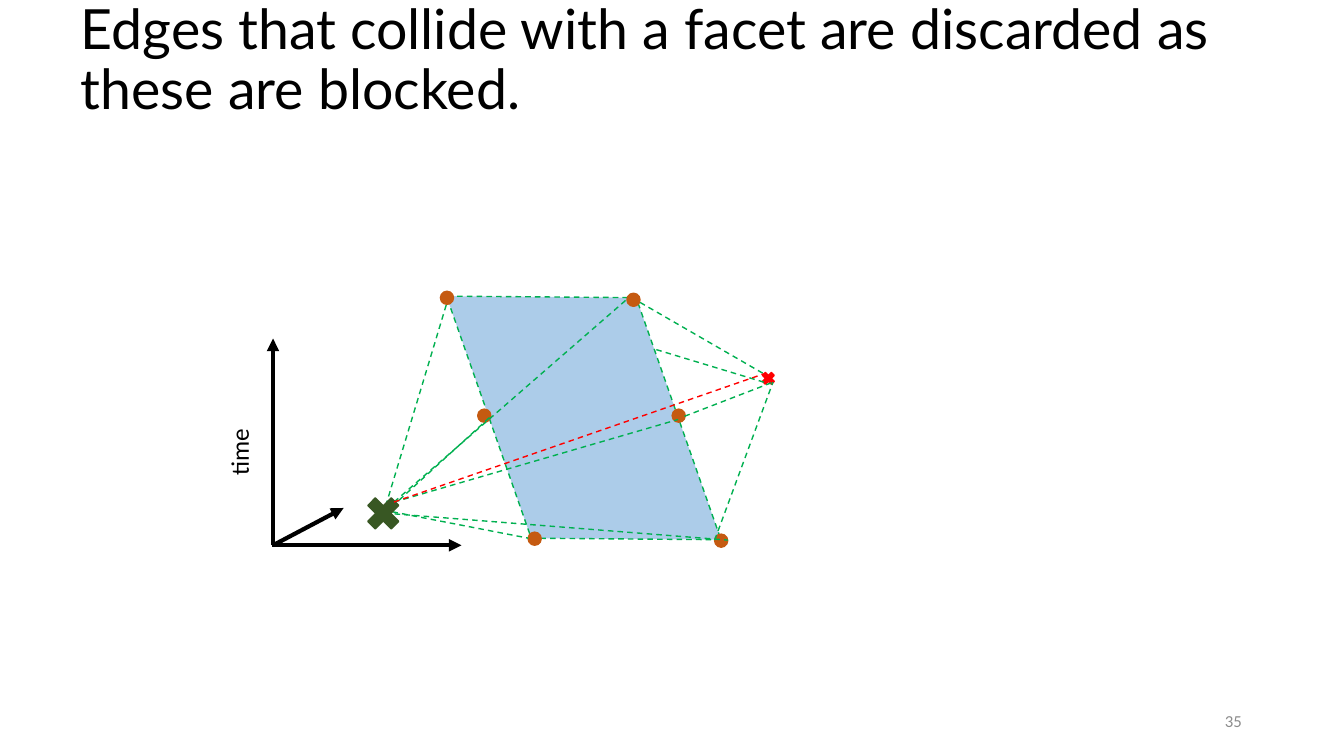
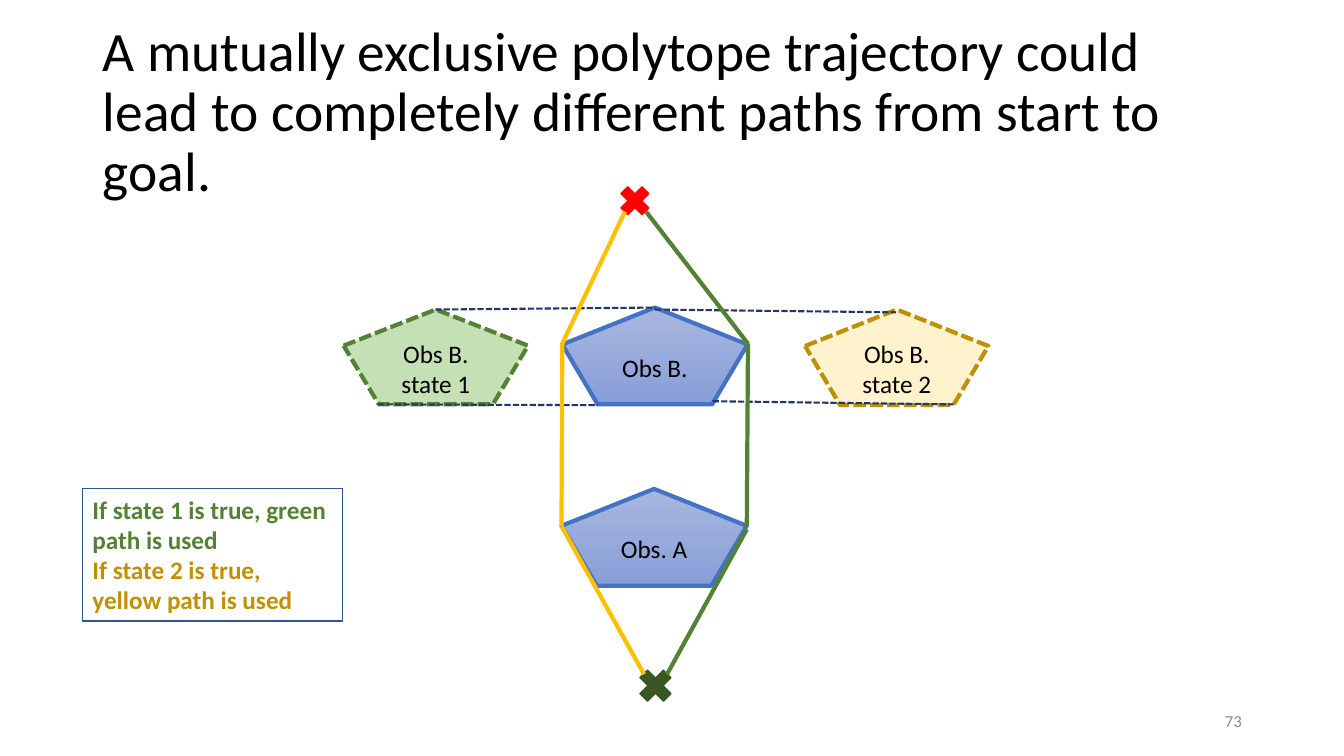
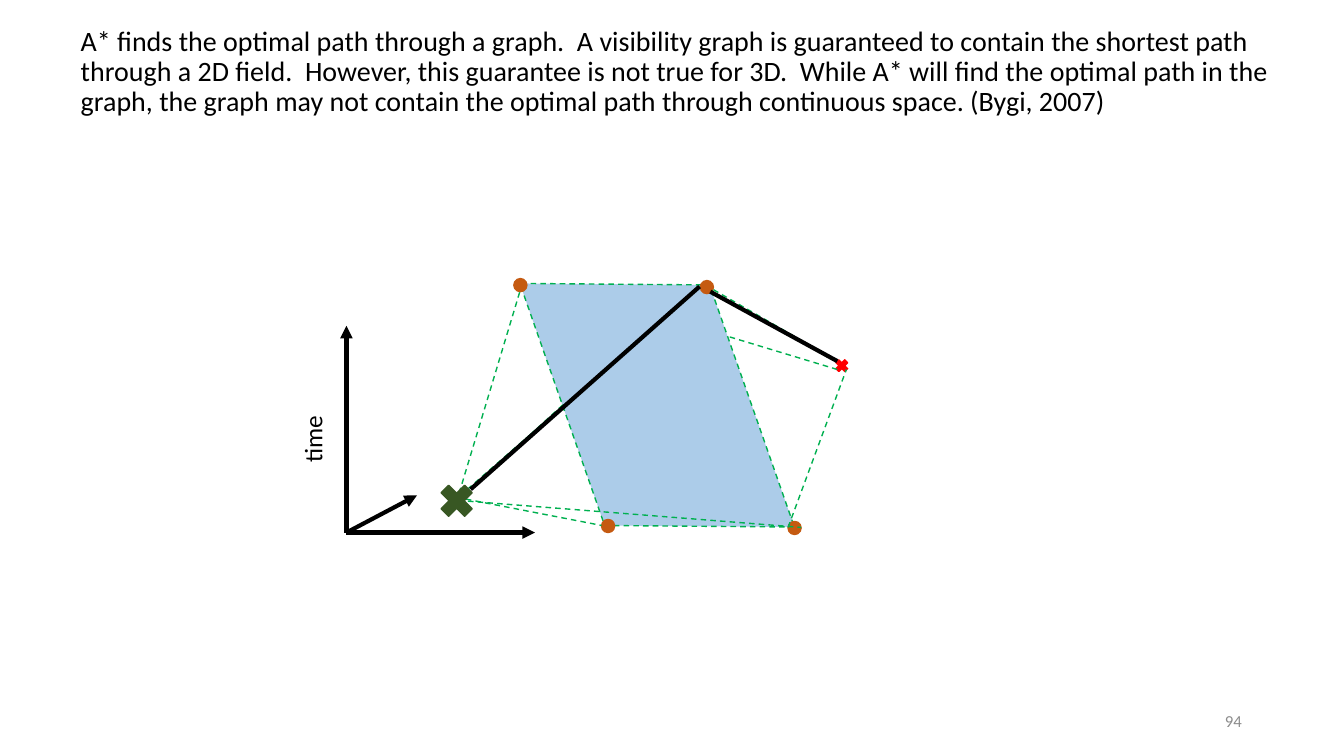
"""Build three slides on visibility graphs around moving obstacles."""
from dataclasses import dataclass
from typing import Optional

from lxml.etree import SubElement as Sub
from pptx import Presentation
from pptx.dml.color import RGBColor as Rgb
from pptx.enum.dml import MSO_LINE as Dash
from pptx.enum.shapes import MSO_CONNECTOR as Link, MSO_SHAPE as Kind
from pptx.enum.text import MSO_ANCHOR as Anchor, MSO_AUTO_SIZE as Fit, PP_ALIGN as Align
from pptx.oxml.ns import qn
from pptx.util import Cm, Pt

HUES = {
    "black": "000000", "grey": "8C8C8C", "red": "FF0000", "edge": "00B050",
    "facet": "5B9BD5", "dot": "C55A11", "start": "385723", "tie": "203864",
    "green": "548235", "mint": "C5E0B4", "gold": "BF9000", "cream": "FFF2CC",
    "yellow": "FFC000", "blue": "4472C4", "top": "A8B7DF", "base": "889ED7",
    "frame": "2F5597",
}
FONT = "Calibri"


@dataclass(frozen=True)
class Box:
    x: float
    y: float
    w: float
    h: float
    turn: float = 0


@dataclass(frozen=True)
class Pen:
    hue: str
    width: float = 1
    dash: Optional[Dash] = None
    arrow: bool = False


@dataclass(frozen=True)
class Line:
    x1: float
    y1: float
    x2: float
    y2: float


@dataclass(frozen=True)
class Word:
    text: str
    hue: str = "black"
    size: float = 18
    bold: bool = False
    font: str = FONT


@dataclass(frozen=True)
class House:
    box: Box
    text: str
    pen: Pen
    fill: Optional[str] = None


EDGE = Pen("edge", 1, Dash.DASH)
BLOCK = Pen("red", 1, Dash.DASH)
AXIS = Pen("black", 3, arrow=True)
ROUTE = Pen("black", 3)
TIE = Pen("tie", 1.5, Dash.SQUARE_DOT)
SOLID = Pen("blue", 3)

FACET = Box(10.67, 8.28, 8.08, 4.5, 250.7)
TIME = Box(4.22, 9.91, 3.61, 1.02, 270)
GOAL = Box(19.15, 9.32, 0.43, 0.43)
START = Box(9.09, 12.37, 1.14, 1.14)
DOT = 0.33
AXES = [
    Line(6.88, 13.74, 8.66, 12.8),
    Line(6.86, 13.74, 11.63, 13.74),
    Line(6.88, 13.74, 6.88, 8.53),
]
ENDS = [(15.8, 7.39), (11.1, 7.34), (18.01, 13.46), (13.31, 13.41)]
MIDS = [(16.94, 10.31), (12.04, 10.31)]
EDGES = [
    Line(9.65, 12.98, 11.25, 7.67),
    Line(9.7, 12.93, 12.37, 10.49),
    Line(9.65, 12.85, 13.31, 13.56),
    Line(9.93, 12.65, 15.8, 7.54),
    Line(9.7, 12.93, 18.34, 13.61),
    Line(16.13, 7.62, 19.25, 9.42),
    Line(18.01, 13.61, 19.48, 9.63),
    Line(16.54, 8.81, 19.25, 9.63),
]
INNER = [Line(9.93, 12.65, 17.09, 10.57), Line(17.25, 10.49, 19.48, 9.63)]
BLOCKED = [Line(9.93, 12.65, 19.25, 9.42)]
BEST = [Line(10.01, 12.65, 15.78, 7.54), Line(19.25, 9.42, 16.05, 7.67)]

HOUSES = [
    House(Box(14.17, 7.75, 4.67, 2.44), "Obs B.", SOLID),
    House(Box(20.29, 7.8, 4.62, 2.41), "Obs B. state 2",
          Pen("gold", 3, Dash.SQUARE_DOT), "cream"),
    House(Box(8.66, 7.8, 4.65, 2.39), "Obs B. state 1",
          Pen("green", 3, Dash.SQUARE_DOT), "mint"),
    House(Box(14.15, 12.32, 4.67, 2.44), "Obs. A", SOLID),
]
TIES = [
    Line(17.96, 10.11, 24.03, 10.19),
    Line(16.51, 7.8, 22.58, 7.87),
    Line(10.97, 7.8, 16.51, 7.75),
    Line(9.53, 10.19, 15.06, 10.21),
]
PATHS = {
    "green": [
        Line(16.81, 16.99, 18.82, 13.34),
        Line(16.28, 5.33, 18.85, 8.66),
        Line(18.82, 13.26, 18.85, 8.66),
    ],
    "yellow": [
        Line(16.23, 16.99, 14.15, 13.26),
        Line(14.17, 8.66, 14.15, 13.26),
        Line(15.75, 5.33, 14.17, 8.66),
    ],
}


def tint(name: str) -> Rgb:
    return Rgb.from_string(HUES[name])


def place(box: Box) -> tuple:
    return Cm(box.x), Cm(box.y), Cm(box.w), Cm(box.h)


def ink(line, pen: Pen) -> None:
    line.color.rgb = tint(pen.hue)
    line.width = Pt(pen.width)
    if pen.dash:
        line.dash_style = pen.dash


def write(frame, words: list, align=Align.LEFT, anchor=Anchor.TOP) -> None:
    frame.word_wrap = True
    frame.auto_size = Fit.NONE
    frame.vertical_anchor = anchor
    for i, word in enumerate(words):
        para = frame.add_paragraph() if i else frame.paragraphs[0]
        para.alignment = align
        run = para.add_run()
        run.text = word.text
        run.font.name = word.font
        run.font.size = Pt(word.size)
        run.font.bold = word.bold
        run.font.color.rgb = tint(word.hue)


def label(slide, box: Box, words: list, align=Align.LEFT, anchor=Anchor.TOP):
    note = slide.shapes.add_textbox(*place(box))
    note.rotation = box.turn
    write(note.text_frame, words, align, anchor)
    return note


def shape(slide, kind: Kind, box: Box, pen: Pen, fill: Optional[str] = None):
    form = slide.shapes.add_shape(kind, *place(box))
    form.rotation = box.turn
    form.shadow.inherit = False
    if fill:
        form.fill.solid()
        form.fill.fore_color.rgb = tint(fill)
    else:
        form.fill.gradient()
        form.fill.gradient_angle = 270
        for stop, hue in zip(form.fill.gradient_stops, ("top", "base")):
            stop.color.rgb = tint(hue)
    ink(form.line, pen)
    return form


def mark(slide, kind: Kind, box: Box, hue: str) -> None:
    shape(slide, kind, box, Pen(hue), hue)


def draw(slide, lines: list, pen: Pen, dx: float = 0, dy: float = 0) -> None:
    for one in lines:
        link = slide.shapes.add_connector(
            Link.STRAIGHT, Cm(one.x1 + dx), Cm(one.y1 + dy),
            Cm(one.x2 + dx), Cm(one.y2 + dy))
        ink(link.line, pen)
        if pen.arrow:
            Sub(link.line._get_or_add_ln(), qn("a:tailEnd"), type="triangle")
        Sub(link.element.spPr, qn("a:effectLst"))


def begin(deck, title: Word, box: Box, page: int):
    slide = deck.slides.add_slide(deck.slide_layouts[5])
    head = slide.shapes.title
    head.left, head.top, head.width, head.height = place(box)
    write(head.text_frame, [title], anchor=Anchor.MIDDLE)
    head.text_frame.paragraphs[0].line_spacing = 0.9
    label(slide, Box(23.93, 17.65, 7.62, 1.02), [Word(str(page), "grey", 12)],
          Align.RIGHT, Anchor.MIDDLE)
    return slide


def scene(slide, dots: list, edges: list, over: list, pen: Pen,
          dx: float = 0, dy: float = 0) -> None:
    def move(box: Box) -> Box:
        return Box(box.x + dx, box.y + dy, box.w, box.h, box.turn)

    facet = shape(slide, Kind.FLOWCHART_DATA, move(FACET), EDGE, "facet")
    color = facet.element.spPr.find(".//" + qn("a:srgbClr"))
    Sub(color, qn("a:alpha"), val="50000")
    draw(slide, AXES, AXIS, dx, dy)
    label(slide, move(TIME), [Word("time")])
    mark(slide, Kind.MATH_MULTIPLY, move(GOAL), "red")
    for x, y in dots:
        mark(slide, Kind.OVAL, move(Box(x, y, DOT, DOT)), "dot")
    draw(slide, edges, EDGE, dx, dy)
    mark(slide, Kind.MATH_MULTIPLY, move(START), "start")
    draw(slide, over, pen, dx, dy)


def states(slide) -> None:
    for house in HOUSES:
        form = shape(slide, Kind.REGULAR_PENTAGON, house.box, house.pen, house.fill)
        write(form.text_frame, [Word(house.text)], Align.CENTER, Anchor.MIDDLE)
    draw(slide, TIES, TIE)
    mark(slide, Kind.MATH_MULTIPLY, Box(15.49, 4.55, 1.02, 1.02), "red")
    mark(slide, Kind.MATH_MULTIPLY, Box(15.95, 16.71, 1.14, 1.14), "start")
    for hue, lines in PATHS.items():
        draw(slide, lines, Pen(hue, 3))
    key = label(slide, Box(2.08, 12.32, 6.55, 3.33), [
        Word("If state 1 is true, green path is used", "green", bold=True),
        Word("If state 2 is true, yellow path is used", "gold", bold=True),
    ])
    ink(key.line, Pen("frame", 0.75))


def main() -> None:
    deck = Presentation()
    deck.slide_width, deck.slide_height = Cm(33.87), Cm(19.05)

    title = Word("Edges that collide with a facet are discarded as these are blocked.",
                 size=39.6, font="Lato")
    slide = begin(deck, title, Box(1.78, 0.23, 31.6, 2.62), 35)
    scene(slide, ENDS + MIDS, EDGES + INNER, BLOCKED, BLOCK)

    title = Word("A mutually exclusive polytope trajectory could lead to completely "
                 "different paths from start to goal.", size=39.6)
    states(begin(deck, title, Box(2.34, 1.02, 29.21, 3.68), 73))

    title = Word("A* finds the optimal path through a graph.  A visibility graph is "
                 "guaranteed to contain the shortest path through a 2D field.  However, "
                 "this guarantee is not true for 3D.  While A* will find the optimal "
                 "path in the graph, the graph may not contain the optimal path through "
                 "continuous space. (Bygi, 2007)", size=20)
    slide = begin(deck, title, Box(1.78, 0.23, 31.6, 3.2), 94)
    scene(slide, ENDS, EDGES, BEST, ROUTE, 1.85, -0.32)

    deck.save("out.pptx")


if __name__ == "__main__":
    main()
